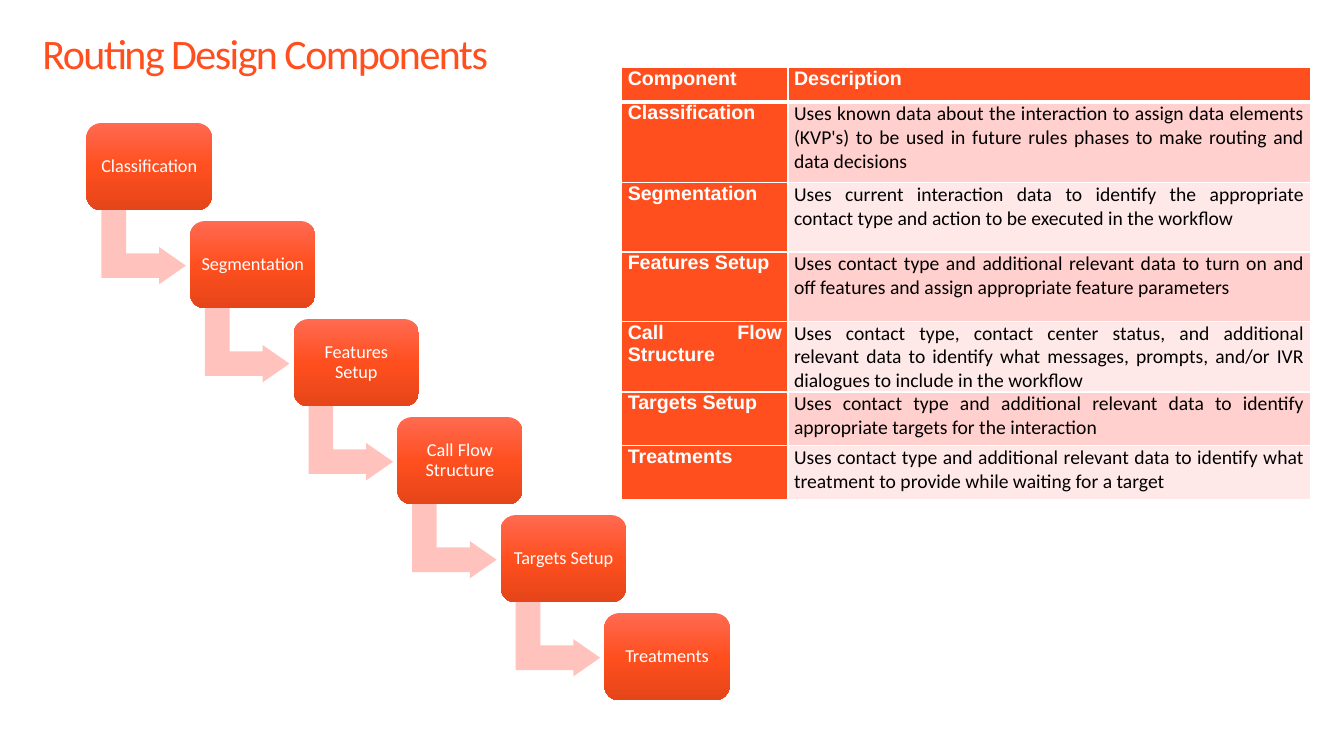
from copy import deepcopy
from dataclasses import dataclass
from typing import Any

from lxml.etree import SubElement
from pptx import Presentation
from pptx.dml.color import RGBColor
from pptx.enum.shapes import MSO_SHAPE
from pptx.enum.text import MSO_ANCHOR, PP_ALIGN
from pptx.oxml.ns import qn
from pptx.util import Cm, Pt


@dataclass(frozen=True)
class Theme:
    accent: str = "FF4F1F"
    accent_light: str = "FF6A51"
    accent_dark: str = "E54519"
    arrow: str = "FFC2BD"
    bands: tuple[str, str] = ("FFD0CD", "FFE9E8")
    white: str = "FFFFFF"
    black: str = "000000"
    body_font: str = "Calibri"
    label_font: str = "Arial"
    title_size: float = 30
    table_size: float = 14
    box_size: float = 13


@dataclass(frozen=True)
class Component:
    name: str
    description: str
    row_height: float


THEME = Theme()

COMPONENTS = [
    Component("Classification", "Uses known data about the interaction to assign data elements (KVP's) "
              "to be used in future rules phases to make routing and data decisions", 2.03),
    Component("Segmentation", "Uses current interaction data to identify the appropriate contact type "
              "and action to be executed in the workflow", 1.75),
    Component("Features Setup", "Uses contact type and additional relevant data to turn on and off "
              "features and assign appropriate feature parameters", 1.75),
    Component("Call Flow Structure", "Uses contact type, contact center status, and additional relevant "
              "data to identify what messages, prompts, and/or IVR dialogues to include in the workflow", 1.75),
    Component("Targets Setup", "Uses contact type and additional relevant data to identify appropriate "
              "targets for the interaction", 1.35),
    Component("Treatments", "Uses contact type and additional relevant data to identify what treatment "
              "to provide while waiting for a target", 1.35),
]

# Staircase geometry in centimetres
START_X, START_Y = 2.18, 3.1
STEP_X, STEP_Y = 2.61, 2.47
BOX_W, BOX_H = 3.16, 2.2
ARROW_DX, ARROW_DY = 0.5, 2.06
ARROW_W, ARROW_H = 1.88, 2.13


def margins(x: float, y: float) -> dict[str, Any]:
    return {"margin_left": Cm(x), "margin_right": Cm(x), "margin_top": Cm(y), "margin_bottom": Cm(y)}


def apply_format(obj: Any, values: dict[str, Any]) -> None:
    for name, value in values.items():
        setattr(obj, name, value)


def write(tf: Any, text: str, color: str, font: dict[str, Any], para: dict[str, Any]) -> Any:
    """Write one formatted paragraph and return its run."""
    p = tf.paragraphs[0]
    apply_format(p, para)
    r = p.add_run()
    r.text = text
    apply_format(r.font, font)
    r.font.color.rgb = RGBColor.from_string(color)
    return r


def add_title(slide: Any, text: str) -> None:
    tf = slide.shapes.add_textbox(Cm(1.07), Cm(0.85), Cm(31.32), Cm(2.15)).text_frame
    apply_format(tf, {"word_wrap": True, "vertical_anchor": MSO_ANCHOR.TOP, **margins(0, 0)})
    r = write(tf, text, THEME.accent,
              {"name": THEME.body_font, "size": Pt(THEME.title_size)},
              {"line_spacing": 0.9})
    r.font._element.set("spc", "-110")


def set_borders(cell: Any, bottom: float) -> None:
    tc_pr = cell._tc.get_or_add_tcPr()
    for side, width in {"L": 1, "R": 1, "T": 1, "B": bottom}.items():
        ln = SubElement(tc_pr, qn(f"a:ln{side}"), w=str(Pt(width)))
        SubElement(SubElement(ln, qn("a:solidFill")), qn("a:srgbClr"), val=THEME.white)


def fill_cell(cell: Any, text: str, fill: str, label: bool, bottom: float) -> None:
    set_borders(cell, bottom)
    cell.fill.solid()
    cell.fill.fore_color.rgb = RGBColor.from_string(fill)
    apply_format(cell, {"vertical_anchor": MSO_ANCHOR.TOP, **margins(0.15, 0)})
    write(cell.text_frame, text, THEME.white if label else THEME.black,
          {"name": THEME.label_font if label else THEME.body_font,
           "size": Pt(THEME.table_size), "bold": label},
          {"alignment": PP_ALIGN.JUSTIFY})


def add_component_table(slide: Any) -> None:
    heights = [0.87] + [c.row_height for c in COMPONENTS]
    widths = [4.19, 13.16]
    table = slide.shapes.add_table(len(heights), len(widths), Cm(15.67), Cm(1.7),
                                   Cm(sum(widths)), Cm(sum(heights))).table
    for column, width in zip(table.columns, widths):
        column.width = Cm(width)
    for row, height in zip(table.rows, heights):
        row.height = Cm(height)

    for col, heading in enumerate(("Component", "Description")):
        fill_cell(table.cell(0, col), heading, THEME.accent, True, 3)
    for i, item in enumerate(COMPONENTS):
        fill_cell(table.cell(i + 1, 0), item.name, THEME.accent, True, 1)
        fill_cell(table.cell(i + 1, 1), item.description, THEME.bands[i % 2], False, 1)


def add_plain_shape(shapes: Any, kind: MSO_SHAPE, x: float, y: float, w: float, h: float,
                    adjustments: tuple[float, ...]) -> Any:
    sp = shapes.add_shape(kind, Cm(x), Cm(y), Cm(w), Cm(h))
    sp.shadow.inherit = False
    sp.line.fill.background()
    for i, value in enumerate(adjustments):
        sp.adjustments[i] = value
    return sp


def add_arrow(shapes: Any, x: float, y: float) -> None:
    sp = add_plain_shape(shapes, MSO_SHAPE.BENT_UP_ARROW, x, y, ARROW_W, ARROW_H, (0.33, 0.25, 0.36))
    sp.rotation = 90
    sp.fill.solid()
    sp.fill.fore_color.rgb = RGBColor.from_string(THEME.arrow)


def add_box(shapes: Any, x: float, y: float, text: str) -> None:
    sp = add_plain_shape(shapes, MSO_SHAPE.ROUNDED_RECTANGLE, x, y, BOX_W, BOX_H, (0.17,))
    # Three-stop gradient, light at the top
    sp.fill.gradient()
    sp.fill.gradient_angle = 270
    first = sp._element.spPr.find(".//" + qn("a:gs"))
    first.addnext(deepcopy(first))
    colors = (THEME.accent_light, THEME.accent, THEME.accent_dark)
    for i, (stop, color) in enumerate(zip(sp.fill.gradient_stops, colors)):
        stop.position = i / 2
        stop.color.rgb = RGBColor.from_string(color)

    tf = sp.text_frame
    apply_format(tf, {"word_wrap": True, "vertical_anchor": MSO_ANCHOR.MIDDLE, **margins(0.13, 0.13)})
    write(tf, text, THEME.white,
          {"name": THEME.body_font, "size": Pt(THEME.box_size)},
          {"alignment": PP_ALIGN.CENTER, "line_spacing": 0.9})


def add_staircase(slide: Any) -> None:
    shapes = slide.shapes.add_group_shape().shapes
    for i, item in enumerate(COMPONENTS):
        x, y = START_X + i * STEP_X, START_Y + i * STEP_Y
        if i < len(COMPONENTS) - 1:
            add_arrow(shapes, x + ARROW_DX, y + ARROW_DY)
        add_box(shapes, x, y, item.name)


def main() -> None:
    prs = Presentation()
    apply_format(prs, {"slide_width": Cm(33.87), "slide_height": Cm(19.05)})
    slide = prs.slides.add_slide(prs.slide_layouts[6])
    add_title(slide, "Routing Design Components")
    add_component_table(slide)
    add_staircase(slide)
    prs.save("out.pptx")


if __name__ == "__main__":
    main()
